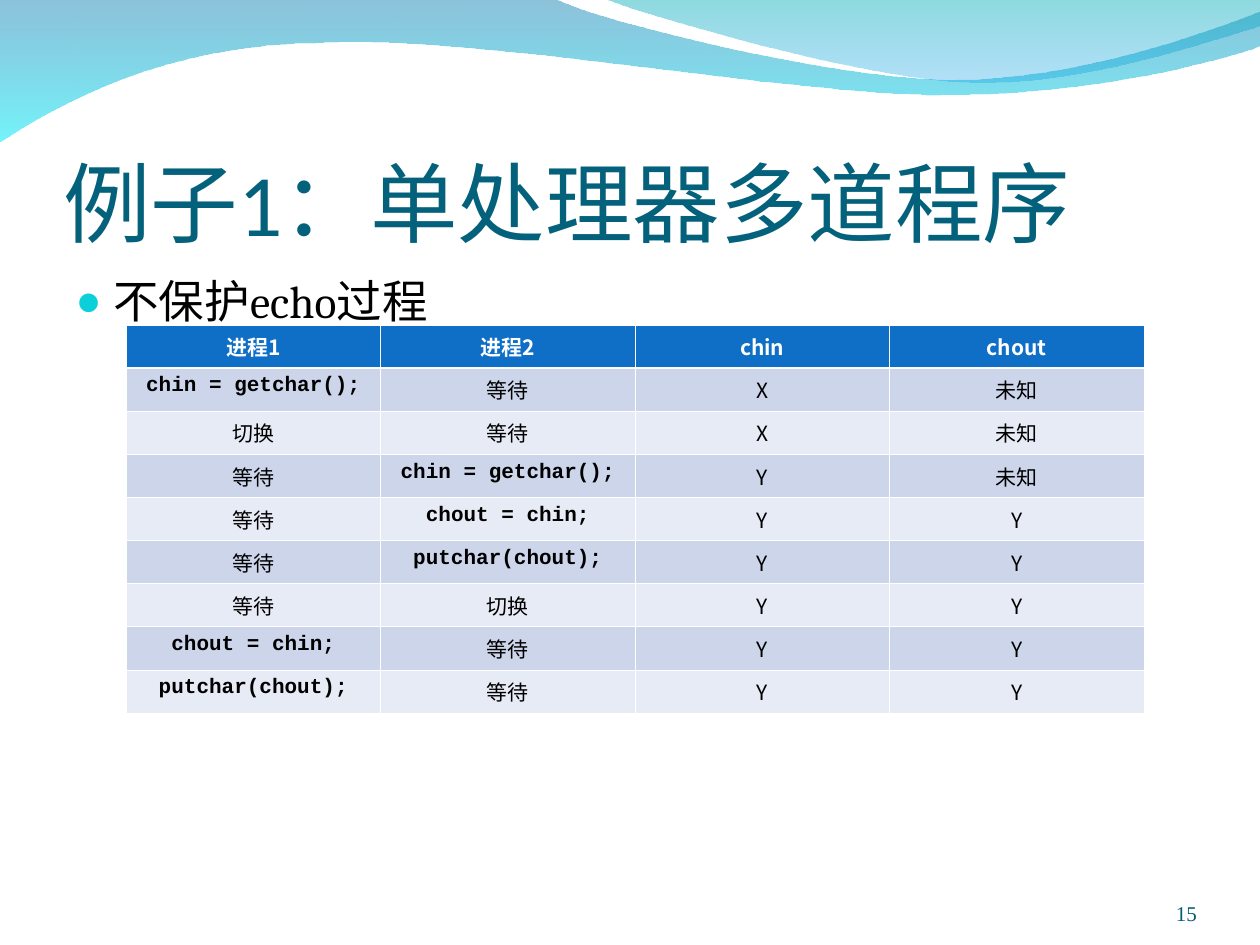
from lxml import etree
from pptx import Presentation
from pptx.dml.color import RGBColor
from pptx.enum.text import MSO_ANCHOR, MSO_AUTO_SIZE, PP_ALIGN
from pptx.oxml.ns import qn
from pptx.util import Inches, Pt

BOTTOM, TOP = MSO_ANCHOR.BOTTOM, MSO_ANCHOR.TOP
NO_AUTOFIT = MSO_AUTO_SIZE.NONE
LEFT, CENTER, RIGHT = PP_ALIGN.LEFT, PP_ALIGN.CENTER, PP_ALIGN.RIGHT

WHITE = RGBColor(0xFF, 0xFF, 0xFF)
BLACK = RGBColor(0, 0, 0)
TITLE_TEAL = RGBColor(0x04, 0x61, 0x7B)
NUMBER_TEAL = RGBColor(0x04, 0x5C, 0x75)
BULLET_CYAN = RGBColor(0x0B, 0xD0, 0xD9)
HEADER_BLUE = RGBColor(0x0F, 0x6F, 0xC6)
BAND_DARK = RGBColor(0xCC, 0xD5, 0xEA)
BAND_LIGHT = RGBColor(0xE7, 0xEB, 0xF5)
WAVE_BLUE = RGBColor(0x00, 0x79, 0xAF)
WAVE_CYAN = RGBColor(0x00, 0xEB, 0xF8)
CREST_GREEN = RGBColor(0x00, 0xAD, 0xB6)
CREST_BLUE = RGBColor(0x00, 0x9B, 0xE5)

THIN, THICK = 0.45, 1.47
CJK_FONT, CODE_FONT = "Noto Sans CJK SC", "Courier New"
GET, COPY, PUT = "chin = getchar();", "chout = chin;", "putchar(chout);"
CODE = (GET, COPY, PUT)
WAIT, SWITCH, UNKNOWN = "等待", "切换", "未知"
SCHEDULE = [
    ("进程1", "进程2", "chin", "chout"),
    (GET, WAIT, "X", UNKNOWN),
    (SWITCH, WAIT, "X", UNKNOWN),
    (WAIT, GET, "Y", UNKNOWN),
    (WAIT, COPY, "Y", "Y"),
    (WAIT, PUT, "Y", "Y"),
    (WAIT, SWITCH, "Y", "Y"),
    (COPY, WAIT, "Y", "Y"),
    (PUT, WAIT, "Y", "Y"),
]

WAVE = [
    [(0, -0.01)],
    [(4.4, -0.01)],
    [(4.76, 0.17), (6.64, 0.63), (7.58, 0.63)],
    [(8.53, 0.63), (9.58, 0.26), (10, 0.09)],
    [(10.01, 0.36)],
    [(9.83, 0.44), (8.7, 0.76), (7.46, 0.75)],
    [(6.22, 0.75), (3.82, 0.28), (2.57, 0.34)],
    [(1.29, 0.35), (0.46, 0.83), (-0.01, 1.13)],
]
CREST = [
    [(4.79, -0.01)],
    [(5.09, 0.11), (6.82, 0.62), (7.69, 0.65)],
    [(8.56, 0.69), (9.61, 0.32), (10, 0.21)],
    [(10, 0)],
]


def bend_sides(ribbon, segments):
    """Turn the straight sides that have control points into cubic curves."""
    sides = list(ribbon.element.iter(qn("a:lnTo")))
    for side, segment in zip(sides, segments[1:]):
        if len(segment) == 3:
            curve = etree.Element(qn("a:cubicBezTo"))
            for x, y in segment:
                etree.SubElement(curve, qn("a:pt"), x=str(Inches(x) - ribbon.left),
                                 y=str(Inches(y) - ribbon.top))
            side.getparent().replace(side, curve)


def place_ribbon(slide, segments, stops):
    """Draw a curved ribbon with a translucent vertical gradient."""
    start, *corners = [tuple(map(Inches, segment[-1])) for segment in segments]
    builder = slide.shapes.build_freeform(*start)
    builder.add_line_segments(corners, close=True)
    ribbon = builder.convert_to_shape()
    bend_sides(ribbon, segments)
    ribbon.shadow.inherit = False
    ribbon.line.fill.background()
    ribbon.fill.gradient()
    ribbon.fill.gradient_angle = 270
    for stop, (color, opacity) in zip(ribbon.fill.gradient_stops, stops):
        stop.color.rgb = color
    for rgb, (color, opacity) in zip(ribbon.element.iter(qn("a:srgbClr")), stops):
        etree.SubElement(rgb, qn("a:alpha"), val=str(opacity * 1000))


def set_box(shape, left, top, width, height):
    """Move and size a shape, in inches."""
    shape.left, shape.top = Inches(left), Inches(top)
    shape.width, shape.height = Inches(width), Inches(height)


def set_frame(frame, anchor, left, top, right, bottom):
    """Set the anchor and insets of a wrapping text frame."""
    frame.word_wrap = True
    frame.auto_size = NO_AUTOFIT
    frame.vertical_anchor = anchor
    frame.margin_left, frame.margin_top = Inches(left), Inches(top)
    frame.margin_right, frame.margin_bottom = Inches(right), Inches(bottom)


def add_run(paragraph, text, font, size, color, align, bold=False):
    """Add one formatted run to an aligned paragraph."""
    paragraph.alignment = align
    run = paragraph.add_run()
    run.text = text
    run.font.name, run.font.size, run.font.bold = font, Pt(size), bold
    run.font.color.rgb = color
    return run


def place_title(slide, box):
    """Place the slide title in front of the ribbons."""
    title = slide.shapes.title
    slide.shapes.element.append(title.element)
    set_box(title, *box)
    set_frame(title.text_frame, BOTTOM, 0, 0.05, 0, 0)
    add_run(title.text_frame.paragraphs[0], "例子1：单处理器多道程序",
            "Calibri", 50, TITLE_TEAL, LEFT)


def place_body(slide, box):
    """Place the bulleted statement in the body placeholder."""
    body = slide.placeholders[1]
    slide.shapes.element.append(body.element)
    set_box(body, *box)
    set_frame(body.text_frame, TOP, 0.1, 0.05, 0.1, 0.05)
    statement = body.text_frame.paragraphs[0]
    properties = statement._p.get_or_add_pPr()
    properties.set("marL", str(Inches(0.3)))
    properties.set("indent", str(Inches(-0.3)))
    bullet_color = etree.SubElement(properties, qn("a:buClr"))
    etree.SubElement(bullet_color, qn("a:srgbClr"), val=str(BULLET_CYAN))
    etree.SubElement(properties, qn("a:buSzPct"), val="95000")
    etree.SubElement(properties, qn("a:buChar"), char="●")
    statement.space_before = Pt(0)
    add_run(statement, "不保护echo过程", "Cambria", 26, BLACK, LEFT)


def add_borders(cell, top, bottom):
    """Give a cell white borders with the given top and bottom widths."""
    properties = cell._tc.get_or_add_tcPr()
    for side, width in (("L", THIN), ("R", THIN), ("T", top), ("B", bottom)):
        line = etree.SubElement(properties, qn(f"a:ln{side}"), w=str(Pt(width)))
        fill = etree.SubElement(line, qn("a:solidFill"))
        etree.SubElement(fill, qn("a:srgbClr"), val=str(WHITE))


def place_schedule(slide, left, top, width, height):
    """Place the table of interleaved process steps."""
    rows, columns = len(SCHEDULE), len(SCHEDULE[0])
    table = slide.shapes.add_table(rows, columns, Inches(left), Inches(top),
                                   Inches(width), Inches(height)).table
    for r, steps in enumerate(SCHEDULE):
        header = r == 0
        band = HEADER_BLUE if header else BAND_DARK if r % 2 else BAND_LIGHT
        for c, step in enumerate(steps):
            cell = table.cell(r, c)
            add_borders(cell, THICK if r == 1 else THIN, THICK if header else THIN)
            cell.fill.solid()
            cell.fill.fore_color.rgb = band
            is_code = step in CODE
            run = add_run(cell.text_frame.paragraphs[0], step,
                          CODE_FONT if is_code else CJK_FONT, 12,
                          WHITE if header else BLACK, CENTER, header or is_code)
            etree.SubElement(run.font._element, qn("a:ea"), typeface=CJK_FONT)


def place_number(slide, box):
    """Place the slide number at the lower right."""
    number = slide.shapes.add_textbox(*map(Inches, box))
    set_frame(number.text_frame, BOTTOM, 0, 0, 0, 0)
    add_run(number.text_frame.paragraphs[0], "15", "Times New Roman", 12,
            NUMBER_TEAL, RIGHT)


def main():
    """Build and save the slide."""
    deck = Presentation()
    deck.slide_width, deck.slide_height = Inches(10), Inches(7.5)
    slide = deck.slides.add_slide(deck.slide_layouts[1])
    place_ribbon(slide, WAVE, [(WAVE_BLUE, 45), (WAVE_CYAN, 55)])
    place_ribbon(slide, CREST, [(CREST_GREEN, 45), (CREST_BLUE, 30)])
    place_title(slide, (0.5, 0.77, 9, 1.25))
    place_body(slide, (0.5, 2.12, 9, 4.8))
    place_number(slide, (8.67, 6.95, 0.83, 0.4))
    place_schedule(slide, 1, 2.58, 8.08, 2.7)
    deck.save("out.pptx")


if __name__ == "__main__":
    main()
